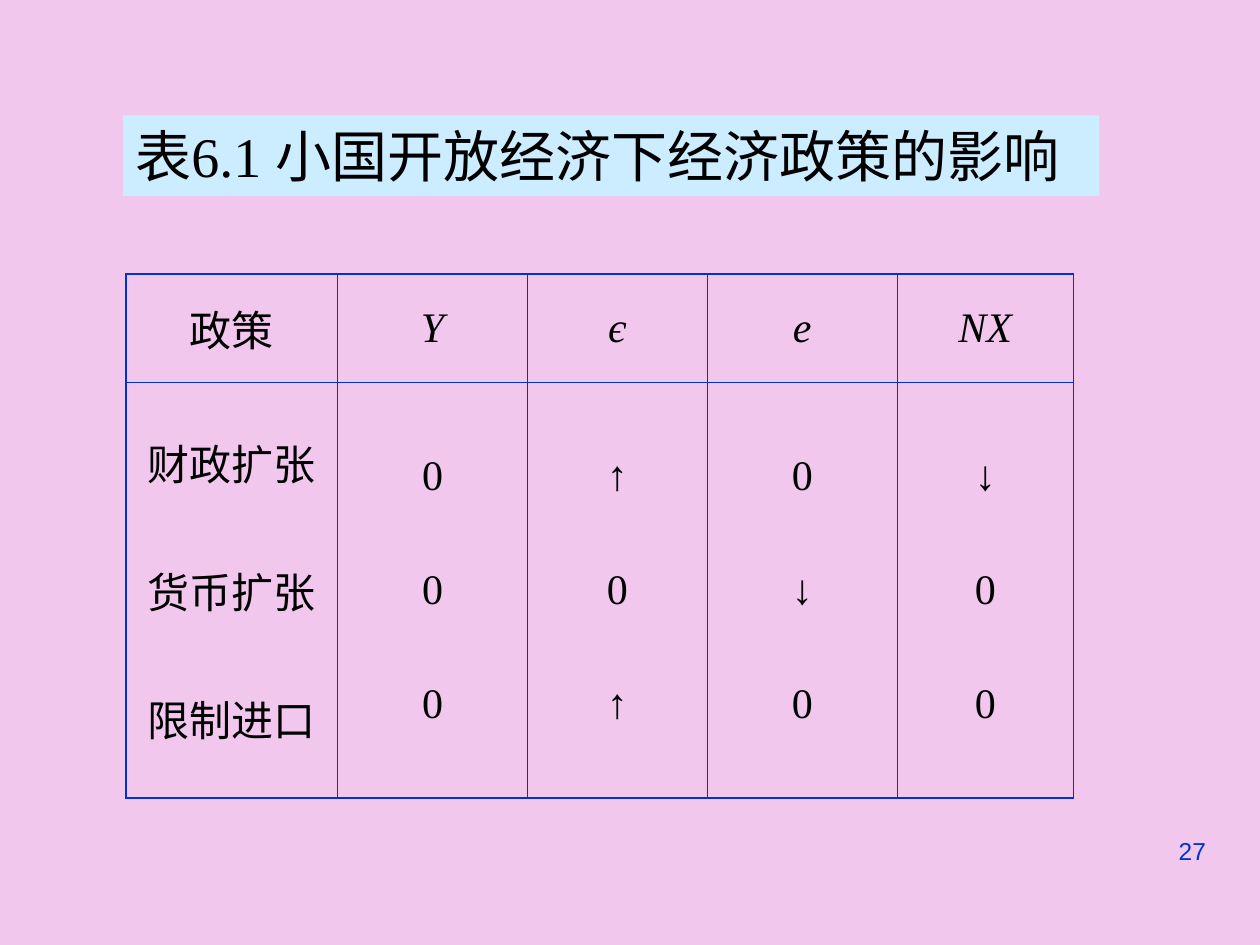
from lxml.etree import SubElement
from pptx import Presentation
from pptx.dml.color import RGBColor
from pptx.enum.shapes import MSO_SHAPE
from pptx.enum.text import MSO_ANCHOR, PP_ALIGN
from pptx.oxml.ns import qn
from pptx.util import Inches, Pt

COLORS = {"bg": "F1C7EE", "title": "CCECFF", "blue": "0033CC", "text": "000000"}
SERIF = "Times New Roman"

prs = Presentation()
prs.slide_width, prs.slide_height = Inches(10), Inches(7.5)
s = prs.slides.add_slide(prs.slide_layouts[6])
s.background.fill.solid()
s.background.fill.fore_color.rgb = RGBColor.from_string(COLORS["bg"])


def box(left, top, width, height):
    """Turn percentages of the slide's size into lengths."""
    w, h = prs.slide_width / 100, prs.slide_height / 100
    return int(left * w), int(top * h), int(width * w), int(height * h)


def put(tf, text, size=24, font=SERIF, color="text", align=PP_ALIGN.CENTER,
        italic=False, gap=38.4):
    """Write one paragraph per line of text, with gap points between them."""
    for i, line in enumerate(text.split("\n")):
        p = tf.add_paragraph() if i else tf.paragraphs[0]
        p.alignment = align
        p.space_before = Pt(gap if i else 0)
        r = p.add_run()
        r.text = line
        r.font.size, r.font.name, r.font.italic = Pt(size), font, italic
        r.font.color.rgb = RGBColor.from_string(COLORS[color])


# Policy table: a header row above one tall row with a line per policy
header = ["政策", "Y", "є", "e", "NX"]
effects = ["财政扩张\n货币扩张\n限制进口", "0\n0\n0", "↑\n0\n↑", "0\n↓\n0", "↓\n0\n0"]
col_shares = [16.8, 15.05, 14.3, 15.05, 14]
row_shares = [11.47, 44]
frame = s.shapes.add_table(2, 5, *box(10, 29, sum(col_shares), sum(row_shares)))
table = frame.table
table.first_row = table.horz_banding = False
for col, share in zip(table.columns, col_shares):
    col.width = box(0, 0, share, 0)[2]
for row, share in zip(table.rows, row_shares):
    row.height = box(0, 0, 0, share)[3]

for y, texts in enumerate([header, effects]):
    for x, text in enumerate(texts):
        cell = table.cell(y, x)
        cell.vertical_anchor = MSO_ANCHOR.MIDDLE
        put(cell.text_frame, text, italic=y == 0 and x > 0)
        outer = {"L": x == 0, "R": x == 4, "T": y == 0, "B": y == 1}
        for side, is_outer in outer.items():
            ln = SubElement(cell._tc.get_or_add_tcPr(), qn(f"a:ln{side}"),
                            w=str(Pt(1.08 if is_outer else 0.45)))
            SubElement(SubElement(ln, qn("a:solidFill")), qn("a:srgbClr"),
                       val=COLORS["blue"])
        cell.fill.background()

# Title: no right inset, so that the line has room to spare
sp = s.shapes.add_shape(MSO_SHAPE.RECTANGLE, *box(9.75, 12.2, 77.5, 8.53))
sp.shadow.inherit = False
sp.fill.solid()
sp.fill.fore_color.rgb = RGBColor.from_string(COLORS["title"])
sp.line.fill.background()
tf = sp.text_frame
tf.word_wrap = True
tf.margin_right = 0
tf.vertical_anchor = MSO_ANCHOR.TOP
put(tf, "表6.1 小国开放经济下经济政策的影响", size=32, align=PP_ALIGN.LEFT)

# Slide number
tf = s.shapes.add_textbox(*box(71.7, 87.8, 25, 6.93)).text_frame
tf.word_wrap = True
put(tf, "27", size=14, font="Arial", color="blue", align=PP_ALIGN.RIGHT)

prs.save("out.pptx")
